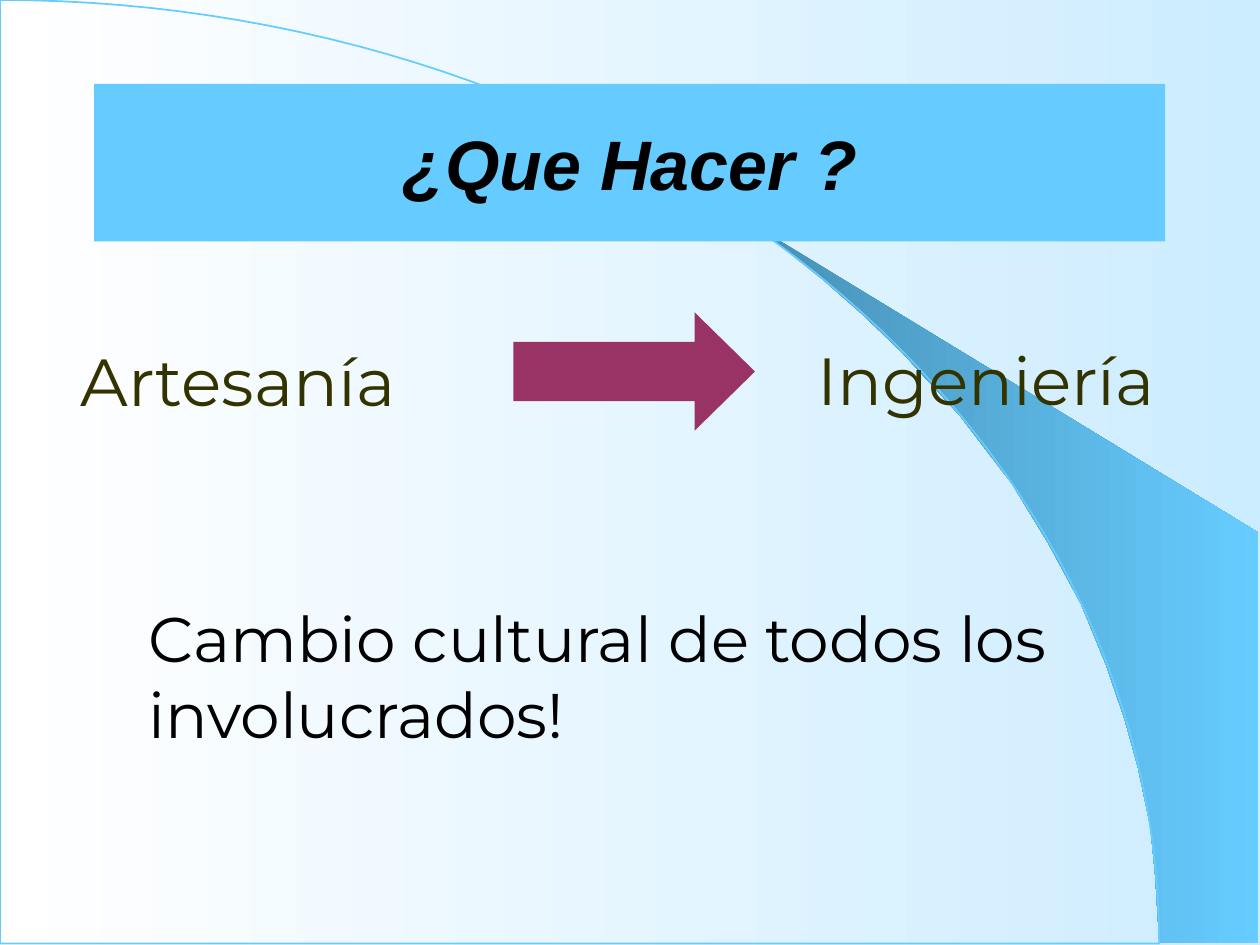
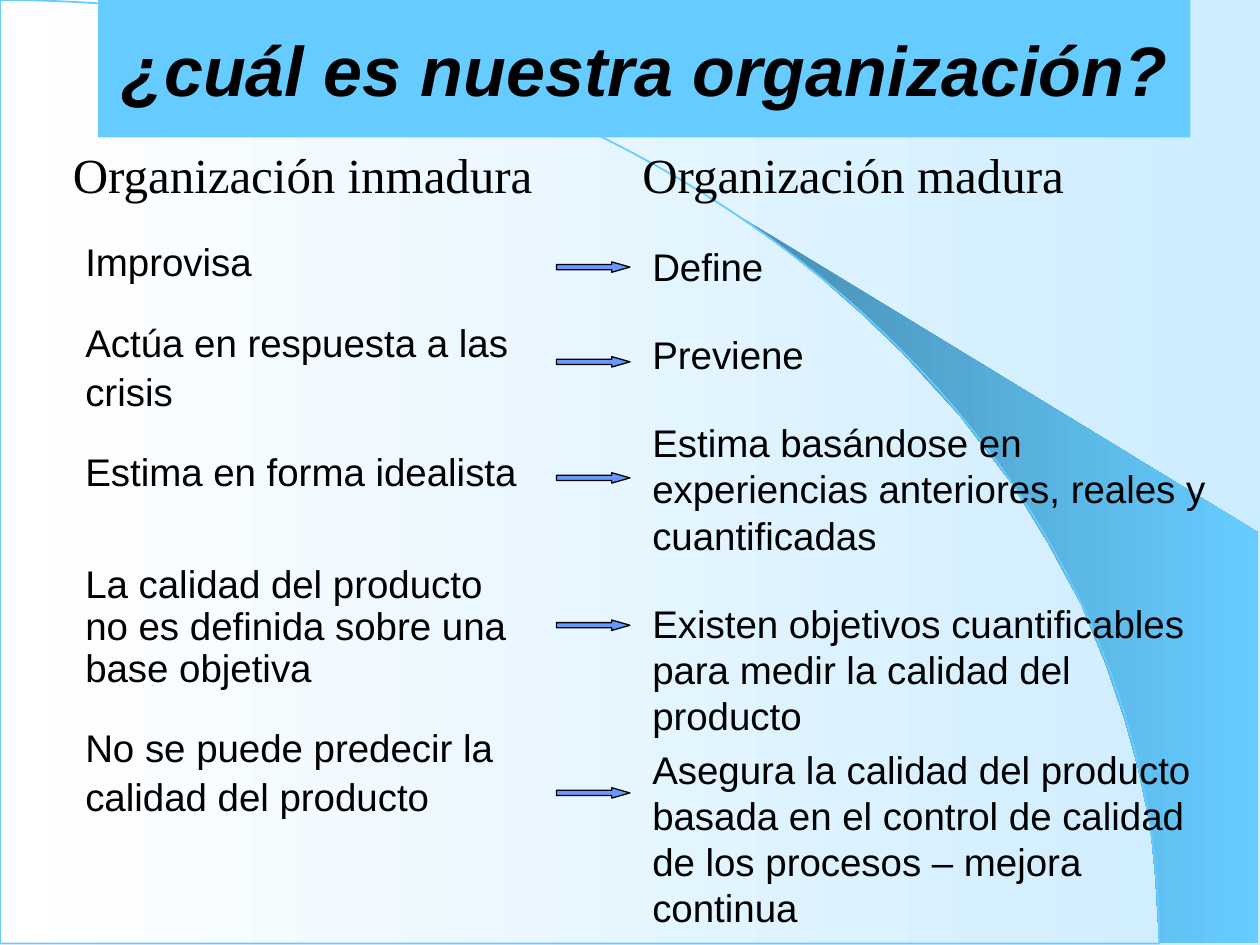
import math
from dataclasses import dataclass

import pptx
import pptx.dml.color
import pptx.enum.shapes
import pptx.enum.text
import pptx.util

COLOURS = {
    "white": "FFFFFF",
    "pale": "CCECFF",
    "sky": "66CCFF",
    "steel": "478FB3",
    "olive": "333300",
    "plum": "993366",
    "blue": "6699FF",
    "black": "000000",
}
SHAPES = pptx.enum.shapes.MSO_SHAPE
ANCHORS = pptx.enum.text.MSO_ANCHOR
ALIGNS = pptx.enum.text.PP_ALIGN

ARC_WIDTH, ARC_HEIGHT, ARC_STEPS = 23.37, 19.02, 60
FAN = [
    (23.37, 19.0), (25.37, 19.02), (25.37, 10.74), (14.96, 4.39), (15.85, 5.05),
    (16.59, 5.64), (17.4, 6.35), (18.19, 7.11), (19.35, 8.38), (20.4, 9.75),
    (21.13, 10.95), (21.79, 12.17), (22.3, 13.41), (22.68, 14.53),
    (22.94, 15.47), (23.19, 16.66), (23.29, 17.68),
]


@dataclass(frozen=True)
class Place:
    left: float
    top: float
    width: float
    height: float

    def lengths(self) -> list[pptx.util.Length]:
        return [pptx.util.Cm(n) for n in (self.left, self.top, self.width, self.height)]


@dataclass(frozen=True)
class Label:
    text: str
    place: Place
    font: str
    size: float
    colour: str = "black"


@dataclass(frozen=True)
class Trait:
    text: str
    gap: float = 0


@dataclass(frozen=True)
class Column:
    place: Place
    line_spacing: float
    traits: tuple[Trait, ...]


LEFT_GAP, RIGHT_GAP, LINE_GAP = 22.3, 23.9, 4.4

CHANGE_LABELS = [
    Label("Artesanía", Place(1.37, 6.73, 8.33, 1.88), "Montserrat", 38, "olive"),
    Label("Ingeniería", Place(16.23, 6.7, 7.9, 1.86), "Montserrat", 38, "olive"),
    Label("Cambio cultural de todos los involucrados!",
          Place(2.74, 11.96, 19.89, 3.3), "Montserrat", 36),
]
COLUMN_HEADINGS = [
    Label("Organización madura", Place(12.7, 2.79, 9.04, 1.45), "Times New Roman", 28),
    Label("Organización inmadura", Place(1.22, 2.79, 9.9, 1.45), "Times New Roman", 28),
]
COLUMNS = [
    Column(Place(1.47, 4.78, 9.32, 13.87), 0.9, (
        Trait("Improvisa"),
        Trait("Actúa en respuesta a las", LEFT_GAP),
        Trait("crisis", LINE_GAP),
        Trait("Estima en forma idealista", LEFT_GAP),
        Trait("La calidad del producto no es definida sobre una base objetiva", 40.2),
        Trait("No se puede predecir la", LEFT_GAP),
        Trait("calidad del producto", LINE_GAP),
    )),
    Column(Place(12.9, 4.78, 11.86, 13.67), 1.0, (
        Trait("Define"),
        Trait("Previene", RIGHT_GAP),
        Trait("Estima basándose en experiencias anteriores, reales y cuantificadas", RIGHT_GAP),
        Trait("Existen objetivos cuantificables para medir la calidad del producto", RIGHT_GAP),
        Trait("Asegura la calidad del producto basada en el control de calidad "
              "de los procesos – mejora continua", LINE_GAP),
    )),
]
ARROW_TOPS = [5.28, 7.19, 9.53, 12.5, 15.88]


def colour_of(name: str) -> pptx.dml.color.RGBColor:
    return pptx.dml.color.RGBColor.from_string(COLOURS[name])


def write_text(para, text: str, *, font: str, size: float, colour: str = "black",
               bold: bool = False, italic: bool = False, align=ALIGNS.LEFT,
               gap: float = 0, line_spacing: float = 1.0) -> None:
    para.alignment = align
    para.space_before = pptx.util.Pt(gap)
    para.line_spacing = line_spacing
    span = para.add_run()
    span.text = text
    span.font.name = font
    span.font.size = pptx.util.Pt(size)
    span.font.bold = bold
    span.font.italic = italic
    span.font.color.rgb = colour_of(colour)


def fill_gradient(fill, start: str, end: str) -> None:
    fill.gradient()
    fill.gradient_angle = 0
    for stop, name, position in zip(fill.gradient_stops, (start, end), (0, 1)):
        stop.color.rgb = colour_of(name)
        stop.position = position


def add_outline(page, points: list[tuple[float, float]]):
    corners = [(pptx.util.Cm(x), pptx.util.Cm(y)) for x, y in points]
    builder = page.shapes.build_freeform(*corners[0])
    builder.add_line_segments(corners[1:], close=True)
    shape = builder.convert_to_shape()
    shape.shadow.inherit = False
    return shape


def add_block(page, kind, place: Place, colour: str):
    shape = page.shapes.add_shape(kind, *place.lengths())
    shape.shadow.inherit = False
    shape.fill.solid()
    shape.fill.fore_color.rgb = colour_of(colour)
    shape.line.fill.background()
    return shape


def add_arrow(page, place: Place, colour: str, head: float):
    arrow = add_block(page, SHAPES.RIGHT_ARROW, place, colour)
    arrow.adjustments[0] = 0.5
    arrow.adjustments[1] = head
    return arrow


def add_box(page, place: Place):
    box = page.shapes.add_textbox(*place.lengths())
    box.text_frame.word_wrap = True
    return box.text_frame


def add_label(page, label: Label) -> None:
    write_text(add_box(page, label.place).paragraphs[0], label.text,
               font=label.font, size=label.size, colour=label.colour)


def add_column(page, column: Column) -> None:
    frame = add_box(page, column.place)
    for index, trait in enumerate(column.traits):
        para = frame.add_paragraph() if index else frame.paragraphs[0]
        write_text(para, trait.text, font="Arial", size=22, gap=trait.gap,
                   line_spacing=column.line_spacing)


def add_title(page, text: str, place: Place) -> None:
    frame = add_block(page, SHAPES.RECTANGLE, place, "sky").text_frame
    frame.word_wrap = True
    frame.vertical_anchor = ANCHORS.MIDDLE
    write_text(frame.paragraphs[0], text, font="Arial", size=40, bold=True,
               italic=True, align=ALIGNS.CENTER)


def add_page(deck):
    page = deck.slides.add_slide(deck.slide_layouts[6])
    fill_gradient(page.background.fill, "white", "pale")
    fan = add_outline(page, FAN)
    fill_gradient(fan.fill, "steel", "sky")
    fan.line.fill.background()
    angles = [math.pi / 2 * step / ARC_STEPS for step in range(ARC_STEPS + 1)]
    curve = [(ARC_WIDTH * math.sin(a), ARC_HEIGHT * (1 - math.cos(a))) for a in angles]
    arc = add_outline(page, curve + [(0, ARC_HEIGHT)])
    arc.fill.background()
    arc.line.color.rgb = colour_of("sky")
    arc.line.width = pptx.util.Pt(1)
    return page


def build_change_page(deck) -> None:
    page = add_page(deck)
    add_title(page, "¿Que Hacer ?", Place(1.9, 1.69, 21.59, 3.18))
    for label in CHANGE_LABELS:
        add_label(page, label)
    add_arrow(page, Place(10.35, 6.3, 4.87, 2.38), "plum", 0.51)


def build_comparison_page(deck) -> None:
    page = add_page(deck)
    for column in COLUMNS:
        add_column(page, column)
    for top in ARROW_TOPS:
        arrow = add_arrow(page, Place(11.22, top, 1.48, 0.21), "blue", 1.75)
        arrow.line.color.rgb = colour_of("black")
        arrow.line.width = pptx.util.Pt(0.75)
    for heading in COLUMN_HEADINGS:
        add_label(page, heading)
    add_title(page, "¿cuál es nuestra organización?", Place(1.98, 0, 22.02, 2.77))


def main() -> None:
    deck = pptx.Presentation()
    deck.slide_width = pptx.util.Cm(25.4)
    deck.slide_height = pptx.util.Cm(19.05)
    build_change_page(deck)
    build_comparison_page(deck)
    deck.save("out.pptx")


if __name__ == "__main__":
    main()
